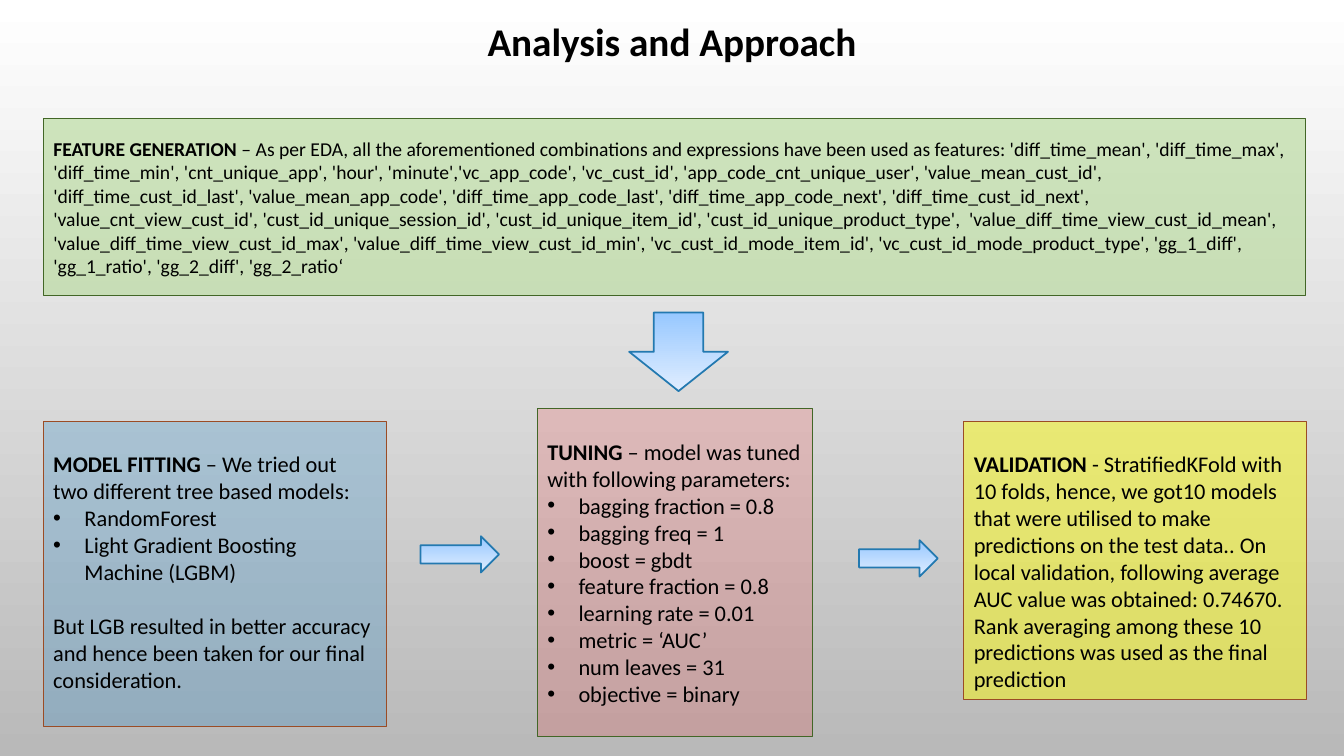
from lxml.etree import SubElement
from pptx import Presentation
from pptx.dml.color import RGBColor
from pptx.enum.shapes import MSO_SHAPE as Preset
from pptx.enum.text import MSO_ANCHOR as Anchor, PP_ALIGN as Align
from pptx.oxml.ns import qn
from pptx.util import Inches, Pt

COLORS = {
    "text": "000000",
    "feature": "B6DA9A",
    "tuning": "FF0000",
    "validation": "FFFF00",
    "model": "107EC6",
    "green_line": "426626",
    "brown_line": "9B4C25",
    "arrow_line": "2379B0",
    "arrow_top": "97C8FF",
    "arrow_bottom": "E0EDFF",
    "back_top": "FFFFFF",
    "back_bottom": "B9B9B9",
}

FEATURES = (
    "– As per EDA, all the aforementioned combinations and expressions have been used as features: "
    "'diff_time_mean', 'diff_time_max', 'diff_time_min', 'cnt_unique_app', 'hour', "
    "'minute','vc_app_code', 'vc_cust_id', 'app_code_cnt_unique_user', 'value_mean_cust_id', "
    "'diff_time_cust_id_last', 'value_mean_app_code', 'diff_time_app_code_last', "
    "'diff_time_app_code_next', 'diff_time_cust_id_next', 'value_cnt_view_cust_id', "
    "'cust_id_unique_session_id', 'cust_id_unique_item_id', 'cust_id_unique_product_type',  "
    "'value_diff_time_view_cust_id_mean', 'value_diff_time_view_cust_id_max', "
    "'value_diff_time_view_cust_id_min', 'vc_cust_id_mode_item_id', "
    "'vc_cust_id_mode_product_type', 'gg_1_diff', 'gg_1_ratio', 'gg_2_diff', 'gg_2_ratio‘"
)
PARAMETERS = [
    "bagging fraction = 0.8", "bagging freq = 1", "boost = gbdt", "feature fraction = 0.8",
    "learning rate = 0.01", "metric = ‘AUC’", "num leaves = 31", "objective = binary",
]
MODELS = ["RandomForest", "Light Gradient Boosting Machine (LGBM)"]


def rgb(name):
    return RGBColor.from_string(COLORS[name])


def set_values(target, values):
    for name, value in values.items():
        setattr(target, name, value)


class SlideBuilder:
    font = "Calibri"
    indent = Inches(0.31)

    def __init__(self, slide):
        self.slide = slide

    def gradient(self, fill, top, bottom):
        fill.gradient()
        fill.gradient_angle = 270
        for stop, position, name in zip(fill.gradient_stops, (0, 1), (top, bottom)):
            set_values(stop, {"position": position})
            stop.color.rgb = rgb(name)

    def shape(self, preset, box, line, width):
        shape = self.slide.shapes.add_shape(preset, *map(Inches, box))
        shape.shadow.inherit = False
        shape.line.color.rgb = rgb(line)
        shape.line.width = Pt(width)
        return shape

    def arrow(self, preset, box):
        shape = self.shape(preset, box, "arrow_line", 1.25)
        self.gradient(shape.fill, "arrow_top", "arrow_bottom")

    def run(self, paragraph, text, size, bold=False):
        run = paragraph.add_run()
        run.text = text
        set_values(run.font, {"name": self.font, "size": Pt(size), "bold": bold})
        run.font.color.rgb = rgb("text")

    def bullet(self, paragraph):
        properties = paragraph._p.get_or_add_pPr()
        properties.set("marL", str(self.indent))
        properties.set("indent", str(-self.indent))
        SubElement(properties, qn("a:buFont")).set("typeface", "Arial")
        SubElement(properties, qn("a:buChar")).set("char", "•")

    def title(self, text, box):
        frame = self.slide.shapes.add_textbox(*map(Inches, box)).text_frame
        frame.word_wrap = True
        paragraph = frame.paragraphs[0]
        set_values(paragraph, {"alignment": Align.CENTER, "line_spacing": 0.9})
        self.run(paragraph, text, 28, True)

    def card(self, box, fill, opacity, line, heading, intro, bullets=(), closing="",
             gap=0, size=16, anchor=Anchor.MIDDLE, top=0.05):
        shape = self.shape(Preset.RECTANGLE, box, line, 0.75)
        shape.fill.solid()
        shape.fill.fore_color.rgb = rgb(fill)
        color = shape.fill._xPr.find(qn("a:solidFill"))[0]
        SubElement(color, qn("a:alpha")).set("val", str(opacity * 1000))
        frame = shape.text_frame
        set_values(frame, {"word_wrap": True, "vertical_anchor": anchor, "margin_top": Inches(top)})
        paragraph = frame.paragraphs[0]
        paragraph.alignment = Align.LEFT
        self.run(paragraph, heading, size, True)
        self.run(paragraph, intro, size)
        for text in bullets:
            paragraph = frame.add_paragraph()
            paragraph.alignment = Align.LEFT
            self.bullet(paragraph)
            self.run(paragraph, text, size)
        if closing:
            paragraph = frame.add_paragraph()
            set_values(paragraph, {"alignment": Align.LEFT, "space_before": Pt(gap)})
            self.run(paragraph, closing, size)


def main():
    presentation = Presentation()
    set_values(presentation, {"slide_width": Inches(13.33), "slide_height": Inches(7.5)})
    slide = presentation.slides.add_slide(presentation.slide_layouts[6])
    builder = SlideBuilder(slide)
    builder.gradient(slide.background.fill, "back_top", "back_bottom")

    builder.title("Analysis and Approach", (0.65, 0.18, 12.03, 0.93))
    builder.card((0.43, 1.18, 12.52, 1.75), "feature", 62, "green_line",
                 "FEATURE GENERATION ", FEATURES, size=14)
    builder.card((5.33, 4.05, 2.73, 3.26), "tuning", 14, "green_line", "TUNING ",
                 "– model was tuned with following parameters:", PARAMETERS)
    top_aligned = {"anchor": Anchor.TOP, "top": 0.29}
    builder.card((9.56, 4.18, 3.4, 2.76), "validation", 46, "brown_line", "VALIDATION",
                 " - StratifiedKFold with 10 folds, hence, we got10 models that were utilised to make "
                 "predictions on the test data.. On local validation, following average AUC value "
                 "was obtained: 0.74670.",
                 closing="Rank averaging among these 10 predictions was used as the final prediction",
                 **top_aligned)
    builder.card((0.43, 4.18, 3.4, 3.03), "model", 23, "brown_line", "MODEL FITTING",
                 " – We tried out two different tree based models:", MODELS,
                 "But LGB resulted in better accuracy and hence been taken for our final consideration.",
                 gap=19.5, **top_aligned)
    for left, top in ((4.17, 5.32), (8.52, 5.36)):
        builder.arrow(Preset.RIGHT_ARROW, (left, top, 0.78, 0.36))
    builder.arrow(Preset.DOWN_ARROW, (6.24, 3.1, 0.98, 0.78))
    presentation.save("out.pptx")


if __name__ == "__main__":
    main()
